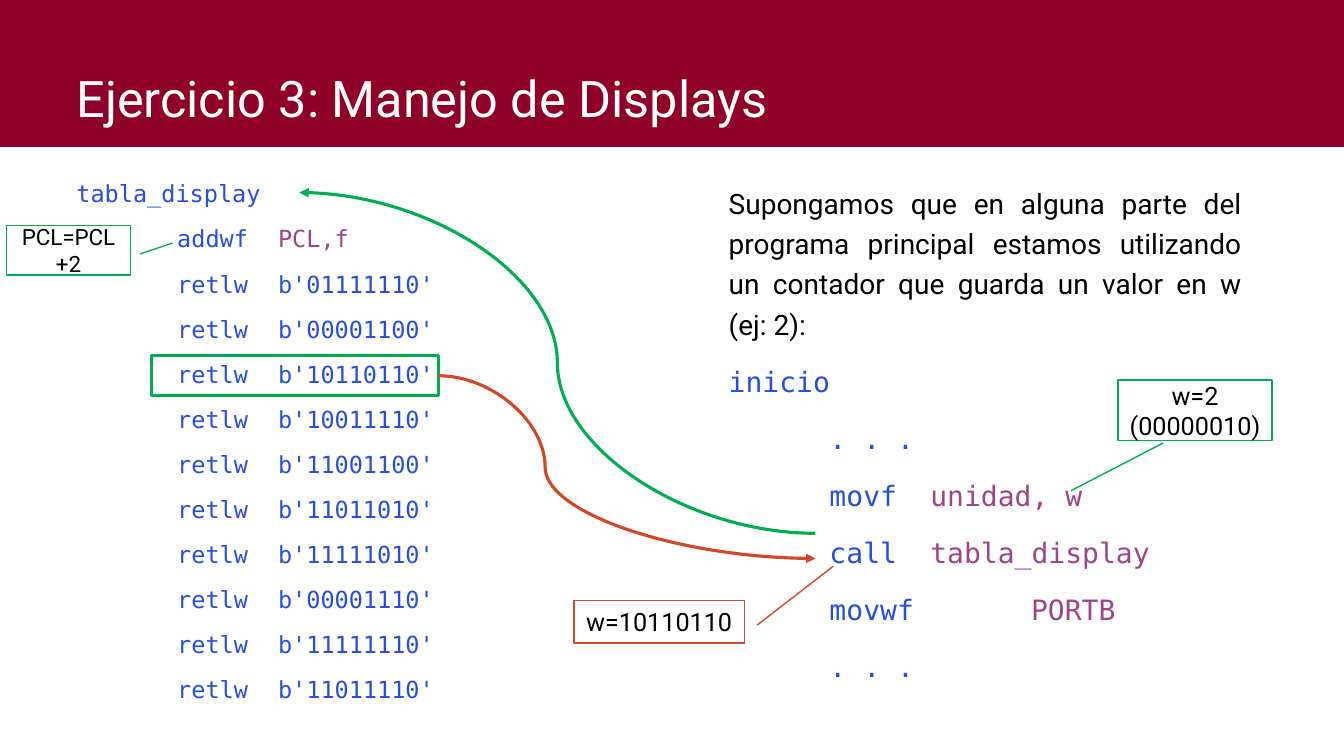
from lxml import etree
from pptx import Presentation
from pptx.dml import color
from pptx.enum import shapes, text
from pptx.oxml import ns
from pptx.util import Pt

GREEN, ORANGE, BLUE, PURPLE = "00B050", "D24726", "274DE7", "9E458A"
WHITE, BLACK, CRIMSON = "FFFFFF", "000000", "8F0129"
SANS, MONO = "Roboto", "DejaVu Sans Mono"
NO_BREAK_SPACE = chr(160)

TABLE_BYTES = [
    "01111110", "00001100", "10110110", "10011110", "11001100",
    "11011010", "11111010", "00001110", "11111110", "11011110",
]
TABLE_CODE = [
    [("tabla_display", BLUE)],
    [("\taddwf \t", BLUE), ("PCL,f", PURPLE)],
] + [[(f"\tretlw \tb'{byte}'", BLUE)] for byte in TABLE_BYTES]

EXPLANATION = (
    "Supongamos que en alguna parte del programa principal estamos utilizando "
    f"un contador que guarda un valor en w (ej:{NO_BREAK_SPACE}2):"
)
MAIN_CODE = [
    [("inicio", BLUE)],
    [("\t. . .", BLUE)],
    [("\tmovf\t", BLUE), ("unidad, w", PURPLE)],
    [("\tcall \t", BLUE), ("tabla_display", PURPLE)],
    [("\tmovwf \t", BLUE), ("PORTB", PURPLE)],
    [("\t. . .", BLUE)],
]


def rgb(value):
    return color.RGBColor.from_string(value)


def points(*values):
    return [Pt(value) for value in values]


def write(paragraph, runs, size, font=SANS, align=text.PP_ALIGN.LEFT, line=1.0, gap=0):
    paragraph.alignment = align
    paragraph.line_spacing = line
    paragraph.space_before = paragraph.space_after = Pt(gap)
    paragraph._p.get_or_add_pPr().set("defTabSz", str(Pt(72)))
    for content, ink in runs:
        run = paragraph.add_run()
        run.text = content
        run.font.size = Pt(size)
        run.font.name = font
        run.font.color.rgb = rgb(ink)


def add_text_box(slide, box, anchor=text.MSO_ANCHOR.TOP):
    frame = slide.shapes.add_textbox(*points(*box)).text_frame
    frame.word_wrap = True
    frame.vertical_anchor = anchor
    return frame


def add_lines(frame, lines, **style):
    for runs in lines:
        first = frame.paragraphs[0]
        paragraph = frame.add_paragraph() if first.runs else first
        write(paragraph, runs, **style)


def add_box(slide, kind, box, fill=None, line=None, width=1):
    shape = slide.shapes.add_shape(kind, *points(*box))
    shape.shadow.inherit = False
    if fill:
        shape.fill.solid()
        shape.fill.fore_color.rgb = rgb(fill)
    else:
        shape.fill.background()
    if line:
        shape.line.color.rgb = rgb(line)
        shape.line.width = Pt(width)
    else:
        shape.line.fill.background()
    return shape


def add_callout(slide, box, label, size, line, pointer):
    shape = add_box(slide, shapes.MSO_SHAPE.LINE_CALLOUT_1, box, WHITE, line)
    for index, value in enumerate(pointer):
        shape.adjustments[index] = value
    frame = shape.text_frame
    frame.word_wrap = True
    frame.vertical_anchor = text.MSO_ANCHOR.MIDDLE
    write(frame.paragraphs[0], [(label, BLACK)], size, align=text.PP_ALIGN.CENTER)


def add_curve(slide, start, end, line, arrow_end, bend=50000):
    connector = slide.shapes.add_connector(
        shapes.MSO_CONNECTOR.CURVE, *points(*start, *end))
    connector.line.color.rgb = rgb(line)
    connector.line.width = Pt(2.25)
    properties = connector._element.spPr
    guides = properties.find(ns.qn("a:prstGeom")).get_or_add_avLst()
    etree.SubElement(guides, ns.qn("a:gd"), name="adj1", fmla=f"val {bend}")
    etree.SubElement(properties.find(ns.qn("a:ln")), ns.qn(arrow_end), type="triangle")
    etree.SubElement(properties, ns.qn("a:effectLst"))


def main():
    presentation = Presentation()
    presentation.slide_width, presentation.slide_height = points(960, 540)
    slide = presentation.slides.add_slide(presentation.slide_layouts[6])

    add_box(slide, shapes.MSO_SHAPE.RECTANGLE, (0, 0, 960, 105), CRIMSON)
    title = add_text_box(slide, (47.5, 0, 847, 95.5), text.MSO_ANCHOR.BOTTOM)
    add_lines(title, [[("Ejercicio 3: Manejo de Displays", WHITE)]], size=36, line=0.9)

    table = add_text_box(slide, (47.5, 124.6, 381, 401))
    add_lines(table, TABLE_CODE, size=16.8, font=MONO, gap=6)

    program = add_text_box(slide, (513.4, 124.6, 380.6, 401))
    add_lines(program, [[(EXPLANATION, BLACK)]], size=20,
              align=text.PP_ALIGN.JUSTIFY, line=1.2, gap=6)
    add_lines(program, MAIN_CODE, size=20, font=MONO, line=1.2, gap=6)

    add_callout(slide, (798.5, 271.4, 110.2, 43.2), "w=2 (00000010)", 18, GREEN,
                (1.042, 0.295, 1.832, -0.303))
    add_curve(slide, (213.8, 137.5), (582.5, 380.9), GREEN, "a:headEnd")
    add_callout(slide, (4.7, 161, 88.6, 35.3), "PCL=PCL+2", 16, GREEN,
                (0.578, 1.075, 0.356, 1.34))
    add_box(slide, shapes.MSO_SHAPE.RECTANGLE, (108, 254, 205.2, 28.8),
            line=GREEN, width=2.25)
    add_callout(slide, (410, 429.1, 121.7, 30.2), "w=10110110", 18, ORANGE,
                (0.578, 1.075, -0.817, 1.522))
    add_curve(slide, (313.2, 268.4), (582.5, 398.9), ORANGE, "a:tailEnd", 28300)

    presentation.save("out.pptx")


if __name__ == "__main__":
    main()
